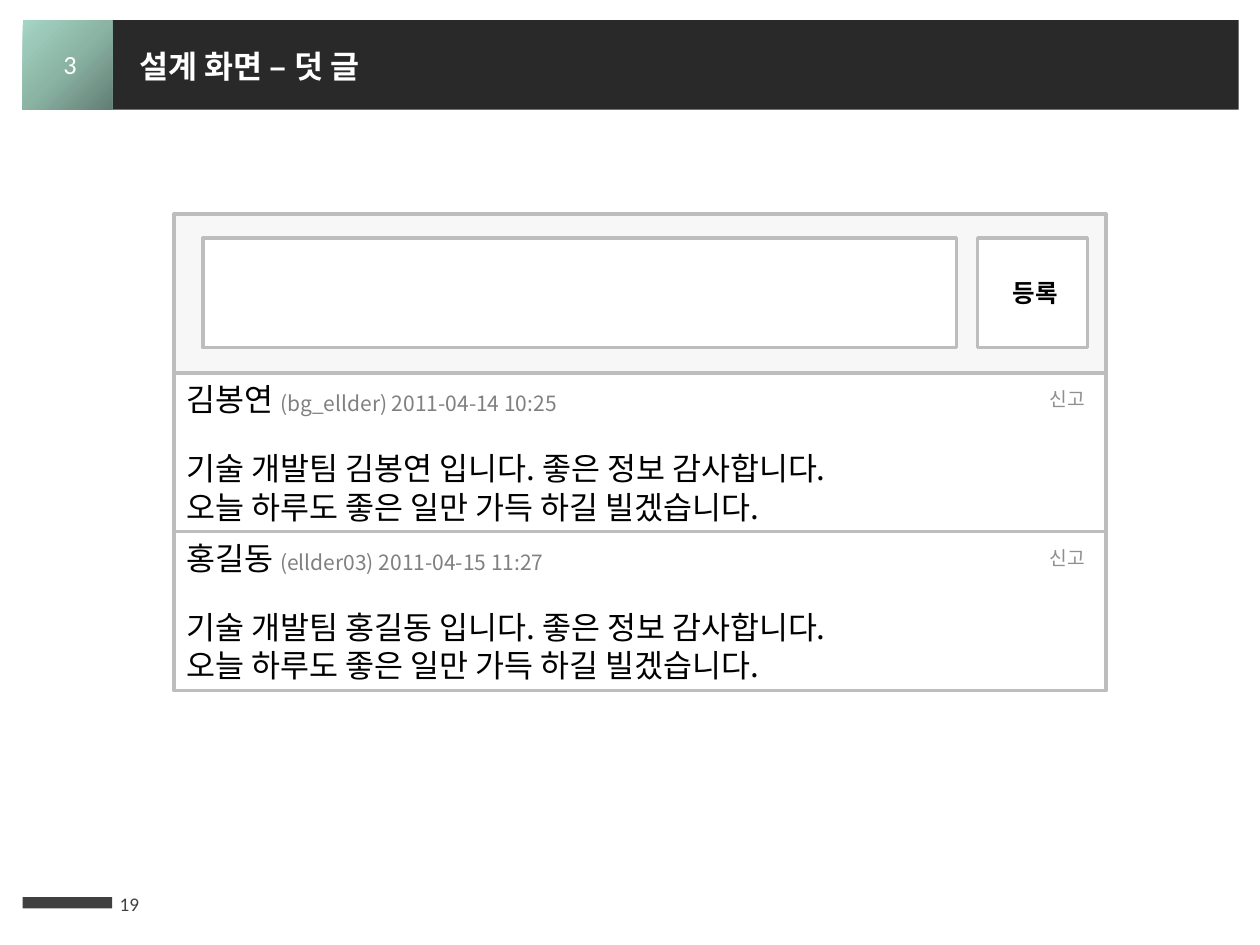
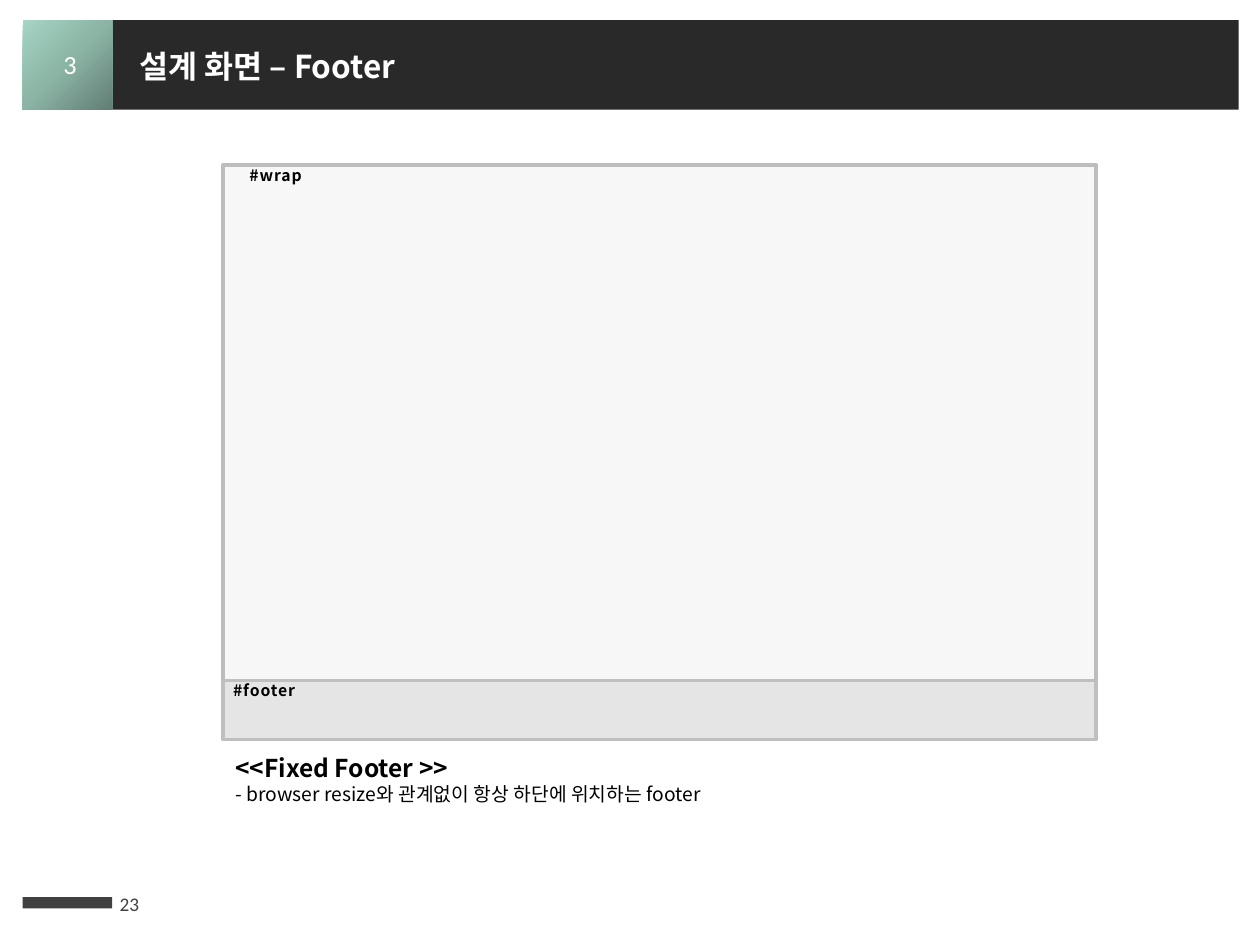
from dataclasses import dataclass

from lxml import etree
from pptx import Presentation
from pptx.dml.color import RGBColor
from pptx.enum.shapes import MSO_SHAPE
from pptx.enum.text import MSO_ANCHOR, PP_ALIGN
from pptx.oxml import parse_xml
from pptx.oxml.ns import nsdecls, qn
from pptx.util import Inches, Pt

RECT = MSO_SHAPE.RECTANGLE
TOP, MIDDLE = MSO_ANCHOR.TOP, MSO_ANCHOR.MIDDLE
LEFT, CENTER = PP_ALIGN.LEFT, PP_ALIGN.CENTER
SIDES = ("margin_left", "margin_top", "margin_right", "margin_bottom")
PAD = (0.1, 0.05, 0.1, 0.05)


@dataclass(frozen=True)
class Theme:
    white: str = "FFFFFF"
    black: str = "000000"
    band: str = "292929"
    mark: str = "404040"
    edge: str = "BDBDBD"
    rim: str = "BFBFBF"
    panel: str = "F7F7F7"
    base: str = "E5E5E5"
    muted: str = "808080"
    link: str = "8F8F8F"
    glow: tuple = ((0, "627E74"), (50, "8BB4A5"), (100, "A5D5C4"))
    korean: str = "Noto Sans CJK KR"
    latin: str = "Calibri"
    head: int = 18
    badge: int = 15
    lead: int = 14
    meta: int = 12
    small: int = 11
    tag: int = 9
    leading: float = 1.22
    stroke: int = 2


class Deck:
    def __init__(self, theme):
        self.theme = theme
        self.file = Presentation()
        self.file.slide_width = Inches(10)
        self.file.slide_height = Inches(7.5)
        self.slide = None

    def run(self, words, size=None, color=None, font=None, bold=False, track=0):
        return {
            "words": words,
            "color": color or self.theme.black,
            "track": track,
            "format": {
                "size": Pt(size or self.theme.head),
                "name": font or self.theme.korean,
                "bold": bold,
            },
        }

    def set_text(self, shape, lines, align=LEFT, anchor=TOP, pad=PAD):
        frame = shape.text_frame
        values = {"word_wrap": True, "vertical_anchor": anchor}
        values.update(zip(SIDES, map(Inches, pad)))
        for name, value in values.items():
            setattr(frame, name, value)
        for index, runs in enumerate(lines):
            para = frame.add_paragraph() if index else frame.paragraphs[0]
            para.alignment = align
            tall = max(run["format"]["size"].pt for run in runs)
            para.line_spacing = Pt(round(tall * self.theme.leading, 1))
            for run in runs:
                self.add_run(para, run)

    def add_run(self, para, spec):
        run = para.add_run()
        run.text = spec["words"]
        for name, value in spec["format"].items():
            setattr(run.font, name, value)
        run.font.color.rgb = RGBColor.from_string(spec["color"])
        props = run._r.get_or_add_rPr()
        east = etree.SubElement(props, qn("a:ea"))
        east.set("typeface", spec["format"]["name"])
        if spec["track"]:
            props.set("spc", str(spec["track"]))

    def box(self, area, fill, line=None):
        shape = self.slide.shapes.add_shape(RECT, *map(Inches, area))
        shape.shadow.inherit = False
        shape.fill.solid()
        shape.fill.fore_color.rgb = RGBColor.from_string(fill)
        if line:
            shape.line.color.rgb = RGBColor.from_string(line)
            shape.line.width = Pt(self.theme.stroke)
        else:
            shape.line.fill.background()
        return shape

    def text(self, area, lines, **layout):
        shape = self.slide.shapes.add_textbox(*map(Inches, area))
        self.set_text(shape, lines, **layout)

    def shade(self, shape):
        stops = "".join(
            f'<a:gs pos="{spot * 1000}"><a:srgbClr val="{color}"/></a:gs>'
            for spot, color in self.theme.glow
        )
        fill = parse_xml(
            f'<a:gradFill {nsdecls("a")} rotWithShape="1"><a:gsLst>{stops}</a:gsLst>'
            '<a:path path="circle"><a:fillToRect l="100000" t="100000"/></a:path>'
            "</a:gradFill>"
        )
        props = shape._element.spPr
        props.replace(props.find(qn("a:solidFill")), fill)

    def page(self, title, number):
        look = self.theme
        self.slide = self.file.slides.add_slide(self.file.slide_layouts[6])
        self.box((0.89, 0.16, 8.94, 0.71), look.band)
        self.shade(self.box((0.18, 0.16, 0.71, 0.71), look.white))
        self.box((0.18, 7.12, 0.71, 0.09), look.mark)
        folio = self.run(number, look.small, look.mark, look.latin)
        self.text((0.85, 6.97, 0.59, 0.4), [[folio]], anchor=MIDDLE)
        head = self.run(title, color=look.white, bold=True)
        self.text((1.01, 0.32, 6.99, 0.4), [[head]])
        badge = self.run("3", look.badge, look.white, look.latin)
        self.text((0.28, 0.33, 0.55, 0.35), [[badge]], align=CENTER)

    def label(self, shape, words, size, **layout):
        run = self.run(words, size, bold=True, track=50)
        self.set_text(shape, [[run]], **layout)

    def comment(self, top, name, stamp):
        look = self.theme
        left = 1.38
        self.box((left, top, 7.4, 1.26), look.white, look.edge)
        author = [self.run(f"{name} "), self.run(stamp, look.meta, look.muted)]
        self.text((left, top, 5.35, 0.4), [author])
        body = (
            f"기술 개발팀 {name} 입니다. 좋은 정보 감사합니다.",
            "오늘 하루도 좋은 일만 가득 하길 빌겠습니다.",
        )
        self.text((left, top + 0.55, 6.61, 0.71), [[self.run(row)] for row in body])
        report = self.run("신고", look.small, look.link)
        self.text((8.23, top + 0.06, 0.55, 0.29), [[report]])


def replies(deck):
    look = deck.theme
    deck.page("설계 화면 – 덧 글", "19")
    posts = (
        ("김봉연", "(bg_ellder) 2011-04-14 10:25"),
        ("홍길동", "(ellder03) 2011-04-15 11:27"),
    )
    top, step = 1.7, 1.26
    for index, post in enumerate(posts, 1):
        deck.comment(top + index * step, *post)
    deck.box((1.38, top, 7.4, step), look.panel, look.edge)
    deck.box((1.61, 1.89, 5.98, 0.87), look.white, look.edge)
    button = deck.box((7.76, 1.89, 0.87, 0.87), look.white, look.edge)
    deck.label(button, "등록", look.lead, align=CENTER, anchor=MIDDLE, pad=(0.04, 0, 0, 0))


def footer(deck):
    look = deck.theme
    deck.page("설계 화면 – Footer", "23")
    wrap = deck.box((1.77, 1.31, 6.93, 4.09), look.panel, look.edge)
    deck.label(wrap, "#wrap", look.tag, pad=(0.21, 0, 0, 0))
    foot = deck.box((1.77, 5.4, 6.93, 0.47), look.base, look.rim)
    deck.label(foot, "#footer", look.tag, pad=(0.08, 0, 0, 0))
    note = [
        [deck.run("<<Fixed Footer >>", look.lead, bold=True)],
        [deck.run("- browser resize와 관계없이 항상 하단에 위치하는 footer", look.small)],
    ]
    deck.text((1.77, 5.92, 4.33, 0.52), note)


def main():
    deck = Deck(Theme())
    replies(deck)
    footer(deck)
    deck.file.save("out.pptx")


if __name__ == "__main__":
    main()
